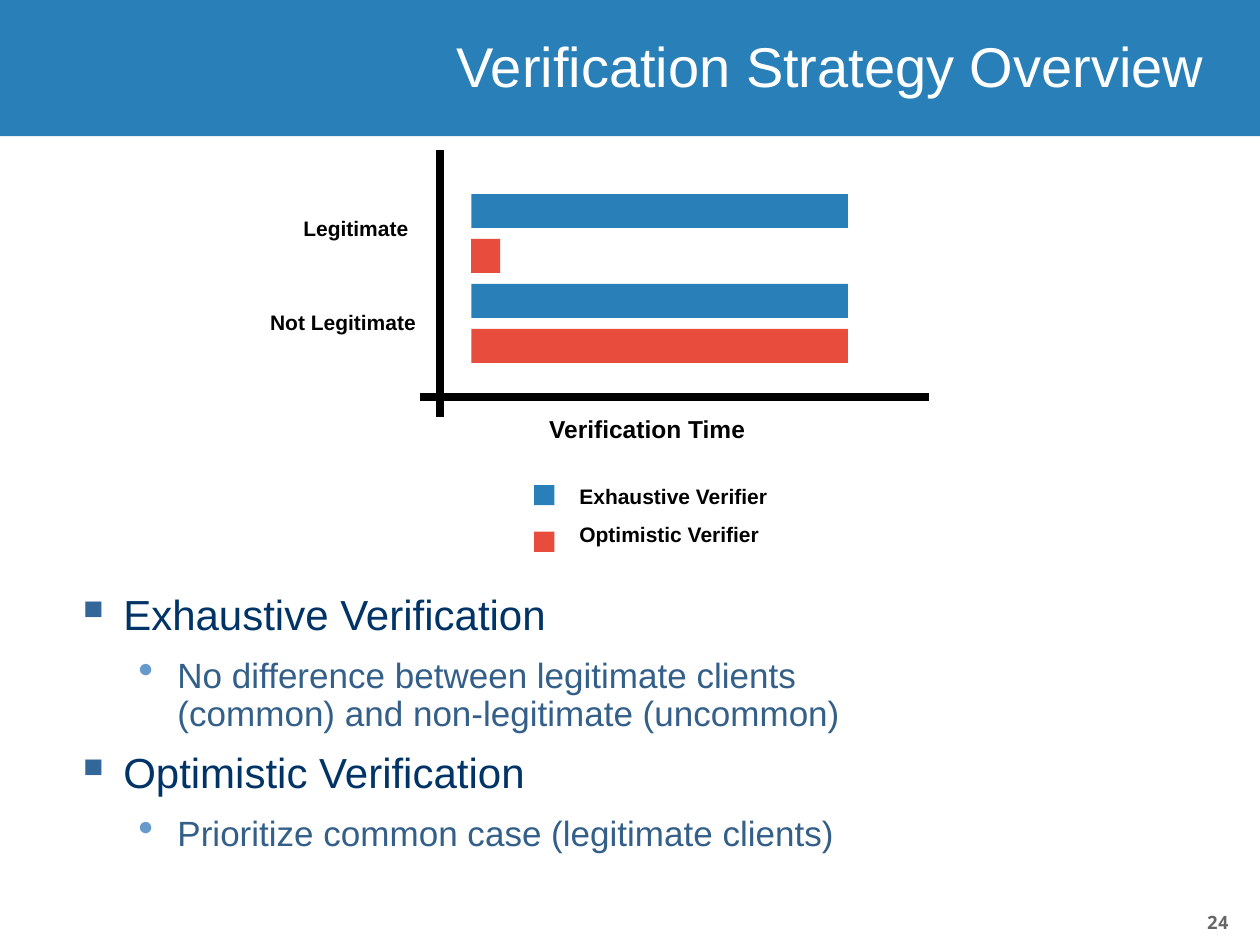
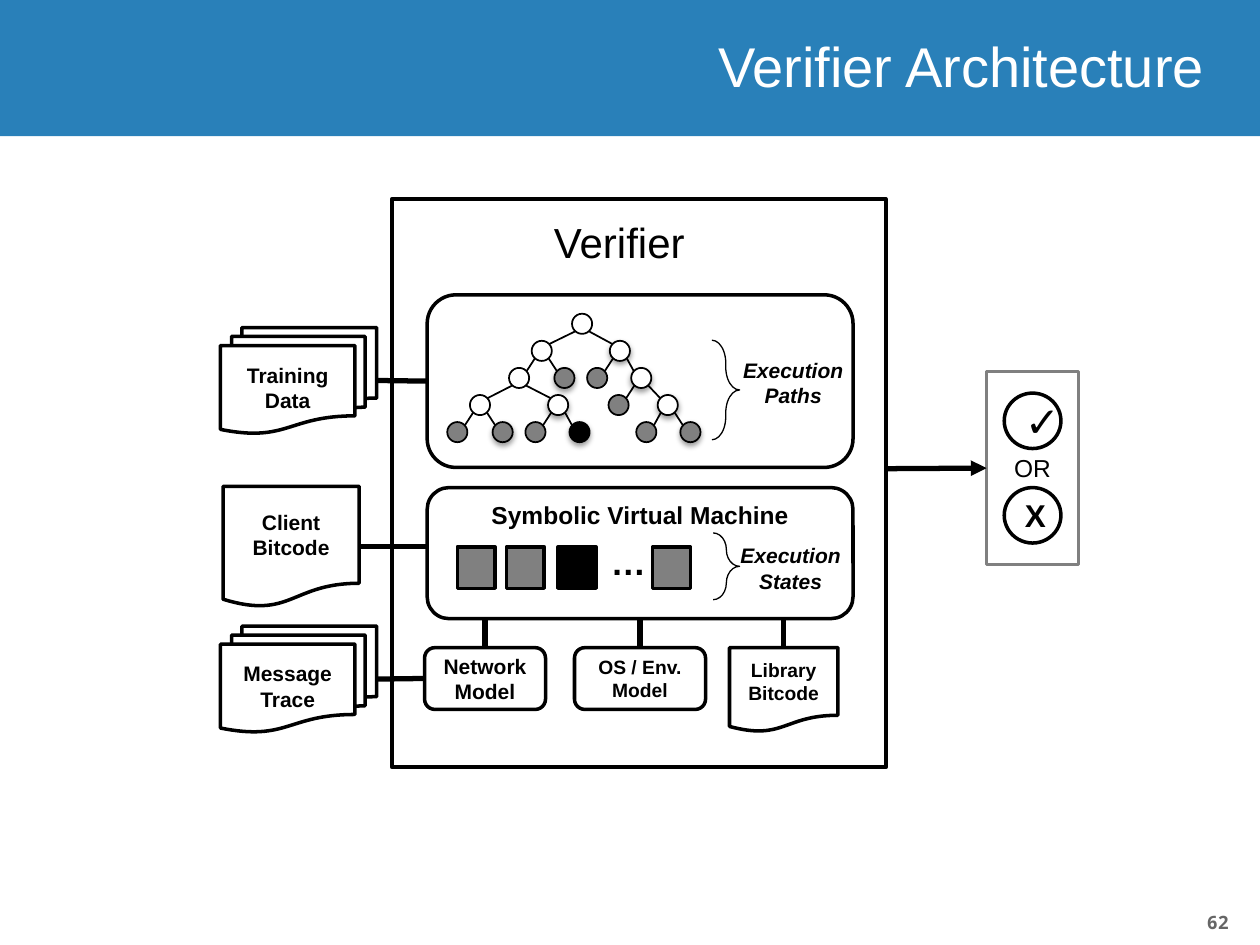
from lxml.etree import SubElement
from pptx import Presentation
from pptx.dml.color import RGBColor
from pptx.enum.shapes import MSO_CONNECTOR as Link, MSO_SHAPE as Form
from pptx.enum.text import MSO_ANCHOR as Anchor, PP_ALIGN as Align
from pptx.oxml.ns import qn
from pptx.util import Emu, Inches, Pt

WHITE = RGBColor(0xFF, 0xFF, 0xFF)
BLACK = RGBColor(0x00, 0x00, 0x00)
GRAY = RGBColor(0x80, 0x80, 0x80)
NUMBER_GRAY = RGBColor(0x66, 0x66, 0x66)
BLUE = RGBColor(0x29, 0x80, 0xB9)
RED = RGBColor(0xE7, 0x4C, 0x3C)
NAVY = RGBColor(0x00, 0x33, 0x66)
SLATE = RGBColor(0x33, 0x5F, 0x89)
BULLET_BLUE = RGBColor(0x33, 0x66, 0x99)
BULLET_SKY = RGBColor(0x66, 0x99, 0xCC)

COLUMNS, ROWS = 100, 75
TOP, LEFT = 0, 1
RIGHT = 3

# Formats: everything but the size is read by set_format
BOLD = {"name": "Arial", "bold": True}
PLAIN = {"name": "Arial", "bold": False}
ITALIC = {**BOLD, "italic": True}
NUMBER = {"name": "Noto Sans Mono", "bold": True}
CENTERED = {"alignment": Align.CENTER}
RIGHTWARD = {"alignment": Align.RIGHT}
TITLE_PARA = {**RIGHTWARD, "line_spacing": 0.85}
BULLETS = [  # per level: mark, mark colour, mark size %, margin, hang, text size, text colour
    ("▪", BULLET_BLUE, 115, 0.38, 0.38, 24, NAVY),
    ("•", BULLET_SKY, 125, 0.81, 0.31, 20, SLATE),
]


def set_format(target, values):
    for name, value in values.items():
        setattr(target, name, value)


def add_shadow(effects, color, alpha, blur, distance, direction):
    shadow = SubElement(effects, qn("a:outerShdw"), blurRad=str(Pt(blur)),
                        dist=str(Pt(distance)), dir=str(direction * 60000),
                        algn="ctr", rotWithShape="0")
    tint = SubElement(shadow, qn("a:srgbClr"), val=str(color))
    SubElement(tint, qn("a:alpha"), val=str(alpha * 1000))


class Sheet:
    """Shared style, plus the slide being drawn on a 100 by 75 grid."""

    def __init__(self):
        self.deck = Presentation()
        self.deck.slide_width, self.deck.slide_height = Inches(10), Inches(7.5)
        self.page = None

    def place(self, *lengths):
        """Turn alternating columns and rows into slide lengths."""
        units = self.deck.slide_width / COLUMNS, self.deck.slide_height / ROWS
        return [Emu(round(length * units[i % 2])) for i, length in enumerate(lengths)]

    def new_page(self, title, number):
        self.page = self.deck.slides.add_slide(self.deck.slide_layouts[5])
        head = self.page.shapes.title
        band = self.shape((0, 0, COLUMNS, 10.8), fill=BLUE)
        head.element.addprevious(band.element)
        set_format(head, dict(zip(("left", "top", "width", "height"),
                                  self.place(25, 1.4, 71.6, 8.3))))
        head.text_frame.vertical_anchor = Anchor.MIDDLE
        span = self.add_lines(head, [title], 32, PLAIN, WHITE, TITLE_PARA)
        props = span._r.get_or_add_rPr()
        effects = SubElement(props, qn("a:effectLst"))
        props.find(qn("a:solidFill")).addnext(effects)
        add_shadow(effects, BULLET_BLUE, 100, 0, 3, 45)
        self.text((94.8, 71.8, 5.1, 4), [str(number)], 10.5, NUMBER, NUMBER_GRAY)

    def add_lines(self, box, lines, size, style=BOLD, color=BLACK, layout=CENTERED):
        for index, line in enumerate(lines):
            frame = box.text_frame
            para = frame.add_paragraph() if index else frame.paragraphs[0]
            set_format(para, layout)
            span = para.add_run()
            span.text = line
            set_format(span.font, {**style, "size": Pt(size)})
            span.font.color.rgb = color
        return span

    def text(self, area, lines, size, style=BOLD, color=BLACK, layout=None, wrap=False):
        box = self.page.shapes.add_textbox(*self.place(*area))
        box.text_frame.word_wrap = wrap
        self.add_lines(box, lines, size, style, color, layout or {})

    def bullets(self, area, items):
        box = self.page.shapes.add_textbox(*self.place(*area))
        box.text_frame.word_wrap = True
        for index, (level, line) in enumerate(items):
            mark, tint, percent, margin, hang, size, color = BULLETS[level]
            frame = box.text_frame
            para = frame.add_paragraph() if index else frame.paragraphs[0]
            props = para._p.get_or_add_pPr()
            props.set("marL", str(Inches(margin)))
            props.set("indent", str(-Inches(hang)))
            SubElement(SubElement(props, qn("a:buClr")), qn("a:srgbClr"), val=str(tint))
            SubElement(props, qn("a:buSzPct"), val=str(percent * 1000))
            SubElement(props, qn("a:buChar"), char=mark)
            set_format(para, {"level": level, "line_spacing": 0.9,
                              "space_before": Pt(5.3 if index else 0),
                              "space_after": Pt(5.3)})
            span = para.add_run()
            span.text = line
            set_format(span.font, {**PLAIN, "size": Pt(size)})
            span.font.color.rgb = color

    def shape(self, area, form=Form.RECTANGLE, fill=None, line=None, weight=2,
              lines=(), size=12, style=BOLD, anchor=Anchor.MIDDLE):
        box = self.page.shapes.add_shape(form, *self.place(*area))
        box.shadow.inherit = False
        if fill is None:
            box.fill.background()
        else:
            box.fill.solid()
            box.fill.fore_color.rgb = fill
        if line is None:
            box.line.fill.background()
        else:
            box.line.color.rgb = line
            box.line.width = Pt(weight)
        if lines:
            box.text_frame.vertical_anchor = anchor
            self.add_lines(box, lines, size, style)
        return box

    def line(self, start, end, weight=3, join_start=None, join_end=None, arrow=False):
        """Draw a line; a join is a (shape, side) pair."""
        link = self.page.shapes.add_connector(Link.STRAIGHT, *self.place(*start, *end))
        if join_start:
            link.begin_connect(*join_start)
        if join_end:
            link.end_connect(*join_end)
        link.line.color.rgb = BLACK
        link.line.width = Pt(weight)
        props = link._element.spPr
        if arrow:
            SubElement(props.find(qn("a:ln")), qn("a:tailEnd"), type="triangle")
        SubElement(props, qn("a:effectLst"))

    def brace(self, area):
        shape = self.shape(area, Form.RIGHT_BRACE, line=BLACK, weight=0.75)
        shape.adjustments[0] = 0.83

    def tree(self, node, level=0, right_child=False):
        """Draw a binary tree; a node is (column, fill, left, right)."""
        column, fill, *children = node
        drop, size = 2.15, 1.6
        top = 24.9 + drop * level
        dot = self.shape((column, top, size, size), Form.OVAL, fill, BLACK, 1)
        if right_child:
            effects = dot._element.spPr.find(qn("a:effectLst"))
            add_shadow(effects, BLACK, 38, 3.1, 1.6, 90)
        for side, child in zip((-1, 1), children):
            middle, child_middle = column + size / 2, child[0] + size / 2
            self.line((middle + side * 0.55, top + 1.4),
                      (child_middle - side * 0.6, top + drop + 0.25), 1)
            self.tree(child, level + 1, side > 0)


def draw_overview(sheet):
    sheet.new_page("Verification Strategy Overview", 24)
    sheet.bullets((5, 46.7, 65.8, 20.8), [
        (0, "Exhaustive Verification"),
        (1, "No difference between legitimate clients (common) and "
            "non-legitimate (uncommon)"),
        (0, "Optimistic Verification"),
        (1, "Prioritize common case (legitimate clients)"),
    ])

    # Bars and axes
    bars = [(BLUE, 29.9), (RED, 2.3), (BLUE, 29.9), (RED, 29.9)]
    for row, (color, length) in enumerate(bars):
        sheet.shape((37.4, 15.4 + 3.57 * row, length, 2.7), fill=color)
    sheet.line((34.9, 33.1), (34.9, 11.9), 4.5)
    sheet.line((73.7, 31.5), (33.3, 31.5), 4.5)
    sheet.text((42.6, 32.4, 17.8, 3.4), ["Verification Time"], 14)
    sheet.text((23, 16.6, 10.4, 3), ["Legitimate"], 12, layout=RIGHTWARD)
    sheet.text((20.3, 24.1, 13.7, 3), ["Not Legitimate"], 12, layout=RIGHTWARD)

    # Key
    sheet.text((45, 36.9, 33.1, 7.1), ["Exhaustive Verifier", "Optimistic Verifier"],
               12, layout={"line_spacing": 1.5}, wrap=True)
    for row, color in enumerate((BLUE, RED)):
        sheet.shape((42.4, 38.5 + 3.7 * row, 1.6, 1.6), fill=color)


def draw_architecture(sheet):
    sheet.new_page("Verifier Architecture", 62)
    rounded, document = Form.FLOWCHART_ALTERNATE_PROCESS, Form.FLOWCHART_DOCUMENT

    # Models under the virtual machine, each with its stem
    models = [(33.7, 9.6, 4.9, rounded, ["Network", "Model"], 12),
              (45.6, 10.4, 4.9, rounded, ["OS / Env.", "Model"], 11),
              (57.9, 8.6, 6.7, document, ["Library", "Bitcode"], 11)]
    boxes = []
    for column, width, height, form, lines, size in models:
        box = sheet.shape((column, 51.4, width, height), form, line=BLACK,
                          lines=lines, size=size)
        stem = column + width / 2
        sheet.line((stem, 51.4), (stem, 46.8), join_start=(box, TOP))
        boxes.append(box)

    # Inputs
    client = sheet.shape((17.7, 38.6, 10.8, 9.6), document, line=BLACK,
                         lines=["Client", "Bitcode"])
    sheet.line((28.5, 43.4), (36.4, 43.4), join_start=(client, RIGHT))
    paths = sheet.shape((33.9, 23.4, 33.8, 13.7), rounded, WHITE, BLACK)
    for row, label, target in ((26, "Training Data", paths),
                               (49.7, "Message Trace", boxes[0])):
        sheet.shape((17.5, row, 12.4, 8.4), Form.FLOWCHART_MULTIDOCUMENT,
                    line=BLACK, lines=[label])
        sheet.line((29.9, row + 4.2), (33.8, row + 4.2), join_end=(target, LEFT))

    # Virtual machine and its states
    sheet.shape((33.9, 38.7, 33.8, 10.4), rounded, WHITE, BLACK, size=14,
                lines=["Symbolic Virtual Machine"], anchor=Anchor.TOP)
    for column, fill in ((36.3, GRAY), (40.2, GRAY), (44.3, BLACK), (51.8, GRAY)):
        sheet.shape((column, 43.4, 3, 3.3), fill=fill, line=BLACK)
    sheet.text((47.5, 42.4, 5.9, 4.4), ["…"], 20, wrap=True)
    sheet.brace((56.6, 42.3, 2.1, 5.3))
    sheet.text((57.7, 42.6, 10.1, 5), ["Execution", "States"], 12, ITALIC, layout=CENTERED)

    # Execution paths
    sheet.tree(
        (45.4, WHITE,
         (42.2, WHITE,
          (40.4, WHITE,
           (37.3, WHITE, (35.5, GRAY), (39.1, GRAY)),
           (43.5, WHITE, (41.7, GRAY), (45.2, BLACK))),
          (44, GRAY)),
         (48.4, WHITE,
          (46.6, GRAY),
          (50.1, WHITE,
           (48.3, GRAY),
           (52.2, WHITE, (50.5, GRAY), (54, GRAY))))))
    sheet.brace((56.5, 27, 2.2, 7.9))
    sheet.text((57.9, 27.9, 10.1, 5), ["Execution", "Paths"], 12, ITALIC, layout=CENTERED)

    # Frame
    sheet.shape((31.1, 15.8, 39.2, 45.1), line=BLACK, weight=2.25)
    sheet.text((42.8, 16.7, 12.7, 5), ["Verifier"], 24, PLAIN, layout=CENTERED)

    # Verdict
    verdict = sheet.shape((78.3, 29.5, 7.3, 15.3), fill=WHITE, line=GRAY,
                          lines=["OR"], size=14, style=PLAIN)
    sheet.line((70.4, 37.2), (78.3, 37.2), join_end=(verdict, LEFT), arrow=True)
    for row, sign, size, style in ((31.2, "✓", 24, PLAIN), (38.7, "X", 18, BOLD)):
        sheet.shape((79.7, row, 4.5, 4.4), Form.OVAL, WHITE, BLACK,
                    lines=[sign], size=size, style=style)


def main():
    sheet = Sheet()
    draw_overview(sheet)
    draw_architecture(sheet)
    sheet.deck.save("out.pptx")


if __name__ == "__main__":
    main()
